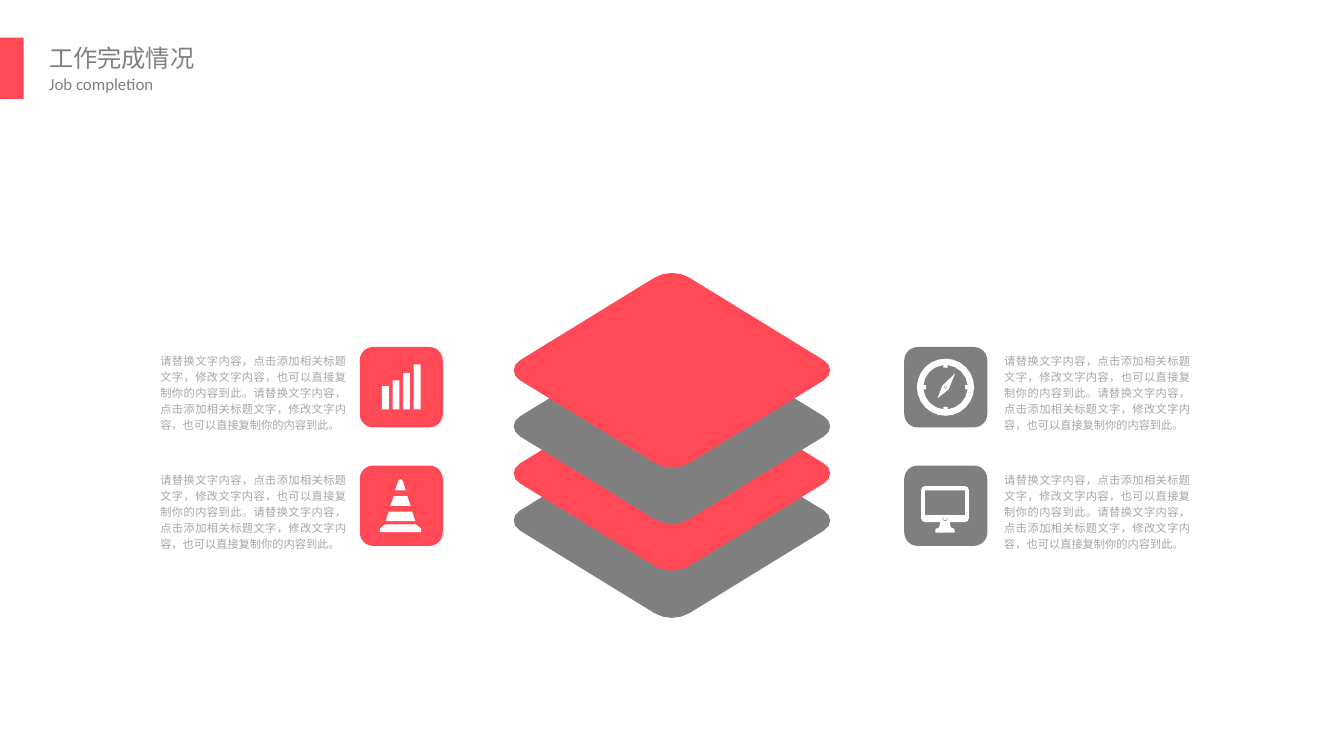
"""Builds the job completion slide: a stack of four layers between four notes."""
from math import asin, cos, pi, sin

from lxml import etree
from pptx import Presentation
from pptx.dml.color import RGBColor
from pptx.enum.shapes import MSO_SHAPE
from pptx.enum.text import MSO_ANCHOR, MSO_AUTO_SIZE, PP_ALIGN
from pptx.oxml.ns import qn
from pptx.util import Cm, Pt

RECTANGLE, ROUNDED, OVAL = MSO_SHAPE.RECTANGLE, MSO_SHAPE.ROUNDED_RECTANGLE, MSO_SHAPE.OVAL
TOP = MSO_ANCHOR.TOP
FIXED = MSO_AUTO_SIZE.NONE
LEFT, JUSTIFY = PP_ALIGN.LEFT, PP_ALIGN.JUSTIFY

COLORS = {"red": "FF4957", "gray": "7F7F7F", "heading": "808080", "note": "A6A6A6", "white": "FFFFFF"}
CJK_FONT = "Noto Sans CJK SC"
SENTENCE = "请替换文字内容，点击添加相关标题文字，修改文字内容，也可以直接复制你的内容到此。"
BADGE_WIDTH, BADGE_HEIGHT = 1.57, 1.52


def paint(shape, color):
    """Give a shape a flat fill without line or shadow."""
    shape.shadow.inherit = False
    shape.fill.solid()
    shape.fill.fore_color.rgb = RGBColor.from_string(COLORS[color])
    shape.line.fill.background()


def add_preset(slide, preset, left, top, width, height, color):
    """Add a flat preset shape."""
    paint(slide.shapes.add_shape(preset, Cm(left), Cm(top), Cm(width), Cm(height)), color)


def add_outline(slide, left, top, contours, color):
    """Add one shape made of closed contours around the given point."""
    builder = None
    for contour in contours:
        start, *rest = [(Cm(left + x), Cm(top + y)) for x, y in contour]
        if builder is None:
            builder = slide.shapes.build_freeform(*start)
        else:
            builder.move_to(*start)
        builder.add_line_segments(rest, close=True)
    paint(builder.convert_to_shape(), color)


def curve(p0, p1, p2, p3, steps=4):
    """Return points along a cubic curve."""
    points = []
    for step in range(steps + 1):
        t = step / steps
        weights = ((1 - t) ** 3, 3 * t * (1 - t) ** 2, 3 * t * t * (1 - t), t ** 3)
        points.append(tuple(sum(w * p[axis] for w, p in zip(weights, (p0, p1, p2, p3))) for axis in (0, 1)))
    return points


def arc(radius, start, end, x=0, y=0, steps=2):
    """Return points along a circular arc."""
    angles = [start + (end - start) * step / steps for step in range(steps + 1)]
    return [(x + radius * cos(a), y + radius * sin(a)) for a in angles]


def circle(radius, y=0, sides=8):
    """Return the points of a full circle."""
    return arc(radius, 0, 2 * pi, y=y, steps=sides)[:-1]


def mirrored(side):
    """Close a left side with its reflection across the vertical axis."""
    return side + [(-x, y) for x, y in reversed(side)]


def write(frame, text, size, font, color, align, margins=(0, 0), spacing=1.0, wrap=True):
    """Fill a text frame with one formatted run."""
    frame.auto_size, frame.word_wrap, frame.vertical_anchor = FIXED, wrap, TOP
    frame.margin_left = frame.margin_right = Cm(margins[0])
    frame.margin_top = frame.margin_bottom = Cm(margins[1])
    paragraph = frame.paragraphs[0]
    paragraph.alignment, paragraph.line_spacing = align, spacing
    paragraph.space_before = Pt(0)
    run = paragraph.add_run()
    run.text = text
    run.font.size, run.font.name = Pt(size), font
    run.font.color.rgb = RGBColor.from_string(COLORS[color])
    etree.SubElement(run._r.get_or_add_rPr(), qn("a:ea")).set("typeface", CJK_FONT)


def add_header(slide, left, top):
    """Place the accent bar, the title and its translation."""
    add_preset(slide, RECTANGLE, left, top, 0.45, 1.16, "red")
    title, translation = slide.placeholders
    headings = (
        (title, "工作完成情况", 13, CJK_FONT, 0, 3.18, 0.74),
        (translation, "Job completion", 9, "Calibri", 0.59, 2.39, 0.58),
    )
    for heading, text, size, font, offset, width, height in headings:
        heading.left, heading.top = Cm(left + 0.73), Cm(top + offset)
        heading.width, heading.height = Cm(width), Cm(height)
        write(heading.text_frame, text, size, font, "heading", LEFT, (0.2, 0.1), wrap=False)


def add_layers(slide, center, top):
    """Stack four rounded diamonds, the lowest first."""
    side_corner = curve((-2.87, 0.19), (-3.03, 0.09), (-3.03, -0.09), (-2.87, -0.19))
    top_corner = curve((-0.33, -1.75), (-0.14, -1.87), (0.14, -1.87), (0.33, -1.75))
    upper_left = side_corner + top_corner
    diamond = upper_left + [(-x, -y) for x, y in upper_left]
    for offset, color in ((2.84, "gray"), (1.95, "red"), (1.06, "gray"), (0, "red")):
        add_outline(slide, center, top + 1.86 + offset, [diamond], color)


def add_bars_icon(slide, left, top):
    """Draw four rising bars."""
    for index, height in enumerate((0.44, 0.55, 0.69, 0.85)):
        add_preset(slide, RECTANGLE, left + 0.42 + 0.2 * index, top + 1.18 - height, 0.13, height, "white")


def add_cone_icon(slide, left, top):
    """Draw a striped traffic cone."""
    sides = (
        [(-0.39, 1.26), (-0.39, 1.19), (-0.29, 1.11)],
        [(-0.28, 1.05), (-0.22, 0.87)],
        [(-0.19, 0.76), (-0.13, 0.58)],
    )
    tip = [(-0.1, 0.47)] + curve((-0.05, 0.31), (-0.03, 0.24), (0.03, 0.24), (0.05, 0.31)) + [(0.1, 0.47)]
    add_outline(slide, left + 0.77, top, [mirrored(side) for side in sides] + [tip], "white")


def add_compass_icon(slide, left, top):
    """Draw a compass ring with four ticks and a needle."""
    x, y = left + 0.78, top + 0.76
    gap = asin(0.04 / 0.42)
    dial = []
    for quarter in range(4):
        start = quarter * pi / 2
        end = start + pi / 2
        dial += arc(0.42, start + gap, end - gap, steps=4)
        dial += [(0.37 * cos(end) + side * 0.04 * sin(end), 0.37 * sin(end) - side * 0.04 * cos(end))
                 for side in (1, -1)]
    needle = [(0.18, -0.26), (0.06, 0.04), (-0.15, 0.21), (-0.06, -0.03)]
    add_outline(slide, x, y, [circle(0.54, sides=24), dial], "white")
    add_outline(slide, x, y, [needle, circle(0.03)], "white")
    add_preset(slide, OVAL, x - 0.02, y - 0.02, 0.04, 0.04, "white")


def add_monitor_icon(slide, left, top):
    """Draw a desktop monitor on a stand."""
    x = left + 0.77
    body = (
        [(-0.18, 1.27), (-0.18, 1.2), (-0.11, 1.17), (-0.09, 1.07)]
        + arc(0.07, pi / 2, pi, -0.38, 1.0)
        + arc(0.07, pi, 1.5 * pi, -0.38, 0.46)
    )
    screen = [(-0.38, 0.47), (-0.38, 0.94)]
    add_outline(slide, x, top, [mirrored(body), mirrored(screen), circle(0.05, y=1.0)], "white")
    add_preset(slide, OVAL, x - 0.04, top + 0.95, 0.08, 0.08, "white")


def add_item(slide, left, top, note_offset, color, add_icon):
    """Place a badge with its icon, and the note beside it."""
    add_preset(slide, ROUNDED, left, top, BADGE_WIDTH, BADGE_HEIGHT, color)
    add_icon(slide, left, top)
    note = slide.shapes.add_textbox(Cm(left + note_offset), Cm(top + 0.09), Cm(3.51), Cm(1.55))
    write(note.text_frame, SENTENCE * 2, 6, "Arial", "note", JUSTIFY, spacing=1.2)


def main():
    """Build and save the slide."""
    deck = Presentation()
    deck.slide_width, deck.slide_height = Cm(25.4), Cm(14.29)
    slide = deck.slides.add_slide(deck.slide_layouts[0])
    add_header(slide, 0, 0.71)
    add_layers(slide, 12.7, 5.14)
    columns = (
        (6.8, -3.77, "red", (add_bars_icon, add_cone_icon)),
        (17.09, 1.89, "gray", (add_compass_icon, add_monitor_icon)),
    )
    for left, note_offset, color, icons in columns:
        for row, add_icon in enumerate(icons):
            add_item(slide, left, 6.56 + 2.24 * row, note_offset, color, add_icon)
    deck.save("out.pptx")


main()
